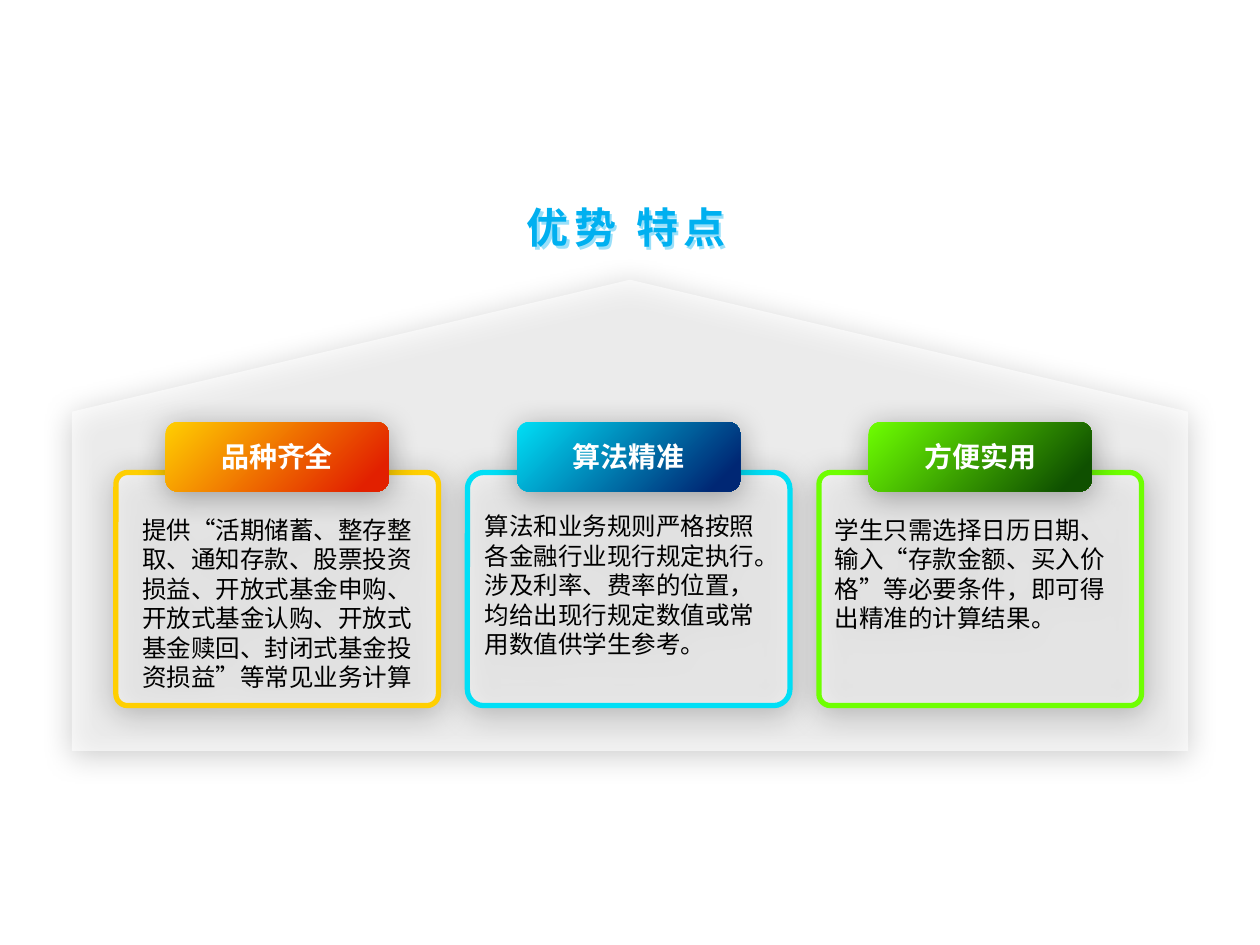
from lxml.etree import SubElement
from pptx import Presentation
from pptx.dml.color import RGBColor
from pptx.enum.lang import MSO_LANGUAGE_ID as Language
from pptx.enum.shapes import MSO_SHAPE as Shape
from pptx.enum.text import MSO_ANCHOR as Anchor, PP_ALIGN as Align
from pptx.oxml.ns import qn
from pptx.util import Inches, Pt

COLORS = {
    "title": "00B0F0", "panel": "FFFFFF", "label": "FFFFFF",
    "body": "000000", "shadow": "000000",
    "gold": "FFCF01", "red": "E22000",
    "cyan": "00DFF6", "navy": "002774",
    "lime": "6EFF01", "green": "0F5000",
}
LATIN, CJK = "Calibri", "Noto Sans CJK SC"

# label, text, start colour, end colour, corner, top inset, alignment
FEATURES = [
    ("品种齐全",
     "提供“活期储蓄、整存整取、通知存款、股票投资损益、开放式基金申购、"
     "开放式基金认购、开放式基金赎回、封闭式基金投资损益”等常见业务计算",
     "gold", "red", 0.05, 0.31, Align.CENTER),
    ("算法精准",
     "算法和业务规则严格按照各金融行业现行规定执行。涉及利率、费率的位置，"
     "均给出现行规定数值或常用数值供学生参考。",
     "cyan", "navy", 0.07, 0.27, Align.LEFT),
    ("方便实用",
     "学生只需选择日历日期、输入“存款金额、买入价格”等必要条件，"
     "即可得出精准的计算结果。",
     "lime", "green", 0.05, 0.31, Align.LEFT),
]


def rgb(name):
    return RGBColor.from_string(COLORS[name])


def set_alpha(color, percent):
    SubElement(color, qn("a:alpha"), val=str(percent * 1000))


def add_shadow(shape, color, alpha, blur, distance, angle):
    """Give the shape an outer shadow; blur and distance are in points."""
    shape.shadow.inherit = False
    effects = shape._element.spPr.find(qn("a:effectLst"))
    outer = SubElement(effects, qn("a:outerShdw"), blurRad=str(Pt(blur)),
                       dist=str(Pt(distance)), dir=str(angle * 60000),
                       algn="ctr", rotWithShape="0")
    set_alpha(SubElement(outer, qn("a:srgbClr"), val=COLORS[color]), alpha)


def add_block(page, kind, left, top, width, height, corner):
    """Add a borderless shape with the soft shadow common to all blocks."""
    block = page.shapes.add_shape(kind, Inches(left), Inches(top),
                                  Inches(width), Inches(height))
    block.adjustments[0] = corner
    block.line.fill.background()
    add_shadow(block, "shadow", 33, 17.8, 3, 87)
    return block


def fill_translucent(block):
    block.fill.solid()
    block.fill.fore_color.rgb = rgb("panel")
    fill = block._element.spPr.find(qn("a:solidFill"))
    set_alpha(fill.find(qn("a:srgbClr")), 60)


def write(shape, text, size, color, align, bold=False, latin=LATIN):
    frame = shape.text_frame
    frame.word_wrap = True
    para = frame.paragraphs[0]
    para.alignment = align
    span = para.add_run()
    span.text = text
    font = para.font
    font.name, font.size, font.bold = latin, Pt(size), bold
    font.color.rgb = rgb(color)
    span.font.language_id = Language.SIMPLIFIED_CHINESE
    SubElement(span.font._element, qn("a:ea"), typeface=CJK)
    return span


def place_title(page, left, top, width, height):
    title = page.shapes.title
    title.left, title.top = Inches(left), Inches(top)
    title.width, title.height = Inches(width), Inches(height)
    title.text_frame.vertical_anchor = Anchor.MIDDLE
    span = write(title, "优势 特点", 24, "title", Align.CENTER, True, CJK)
    span.font._element.set("spc", "300")
    add_shadow(title, "title", 40, 0, 2, 45)


def add_house(page, left, top, width, height):
    """Draw the roofed panel: a pentagon arrow turned to point upwards."""
    house = add_block(page, Shape.PENTAGON, left + (width - height) / 2,
                      top + (height - width) / 2, height, width, 0.28)
    house.rotation = 270
    fill_translucent(house)


def add_feature(page, left, top, width, height, feature):
    """Draw a card with its label tab centred over the top edge."""
    label, text, start, end, corner, inset, align = feature
    card = add_block(page, Shape.ROUNDED_RECTANGLE,
                     left, top, width, height, corner)
    fill_translucent(card)
    card.line.color.rgb = rgb(start)
    card.line.width = Pt(3)
    card.text_frame.vertical_anchor = Anchor.TOP
    card.text_frame.margin_top = Inches(inset)
    write(card, text, 14, "body", align)

    tab_width = 1.77
    tab = add_block(page, Shape.ROUNDED_RECTANGLE,
                    left + (width - tab_width) / 2, top - 0.4,
                    tab_width, 0.55, 0.17)
    tab.fill.gradient()
    tab.fill.gradient_angle = 315
    for stop, color, position in zip(tab.fill.gradient_stops,
                                     (start, end), (0, 0.9)):
        stop.color.rgb = rgb(color)
        stop.position = position
    tab.text_frame.vertical_anchor = Anchor.MIDDLE
    write(tab, label, 16, "label", Align.CENTER, True)


def main():
    deck = Presentation()
    deck.slide_width, deck.slide_height = Inches(10), Inches(7.5)
    page = deck.slides.add_slide(deck.slide_layouts[5])
    place_title(page, 2.64, 1.55, 4.66, 0.5)
    add_house(page, 0.57, 2.22, 8.86, 3.74)
    for column, feature in enumerate(FEATURES):
        add_feature(page, 0.92 + 2.79 * column, 3.75, 2.56, 1.85, feature)
    deck.save("out.pptx")


if __name__ == "__main__":
    main()
